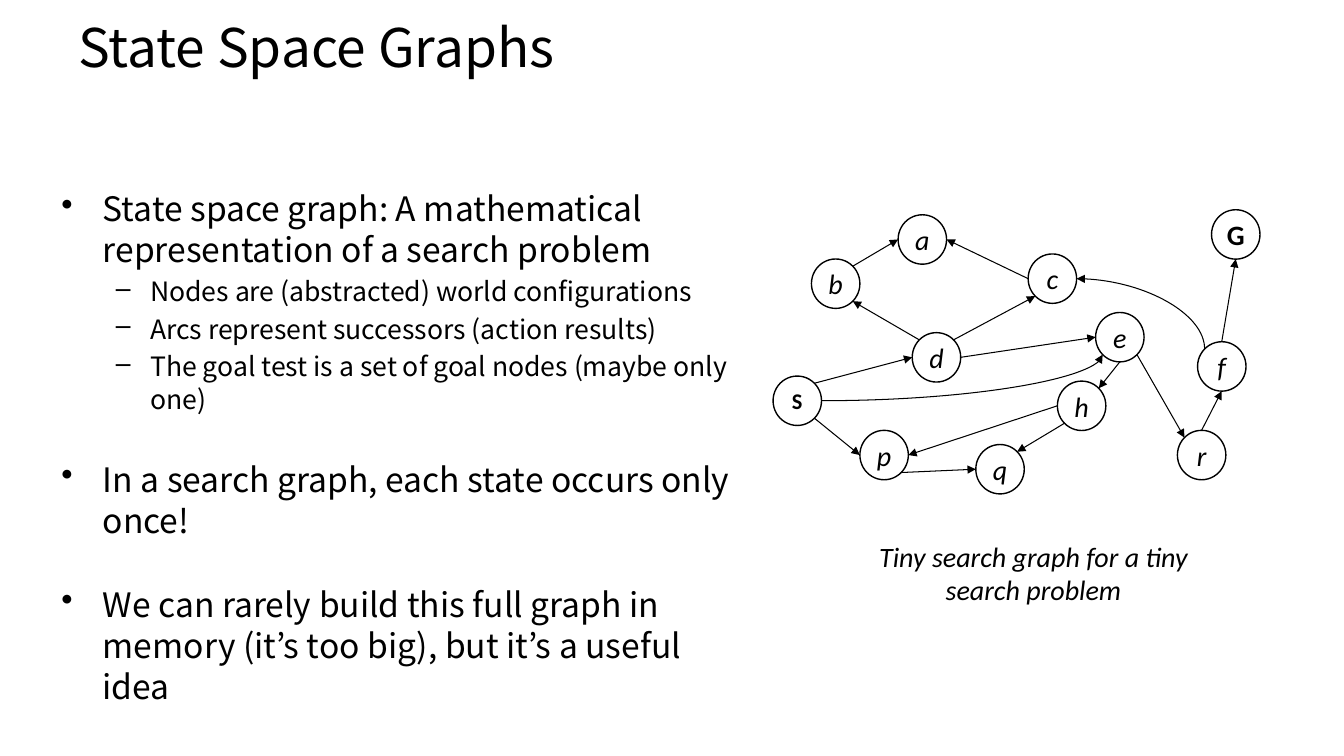
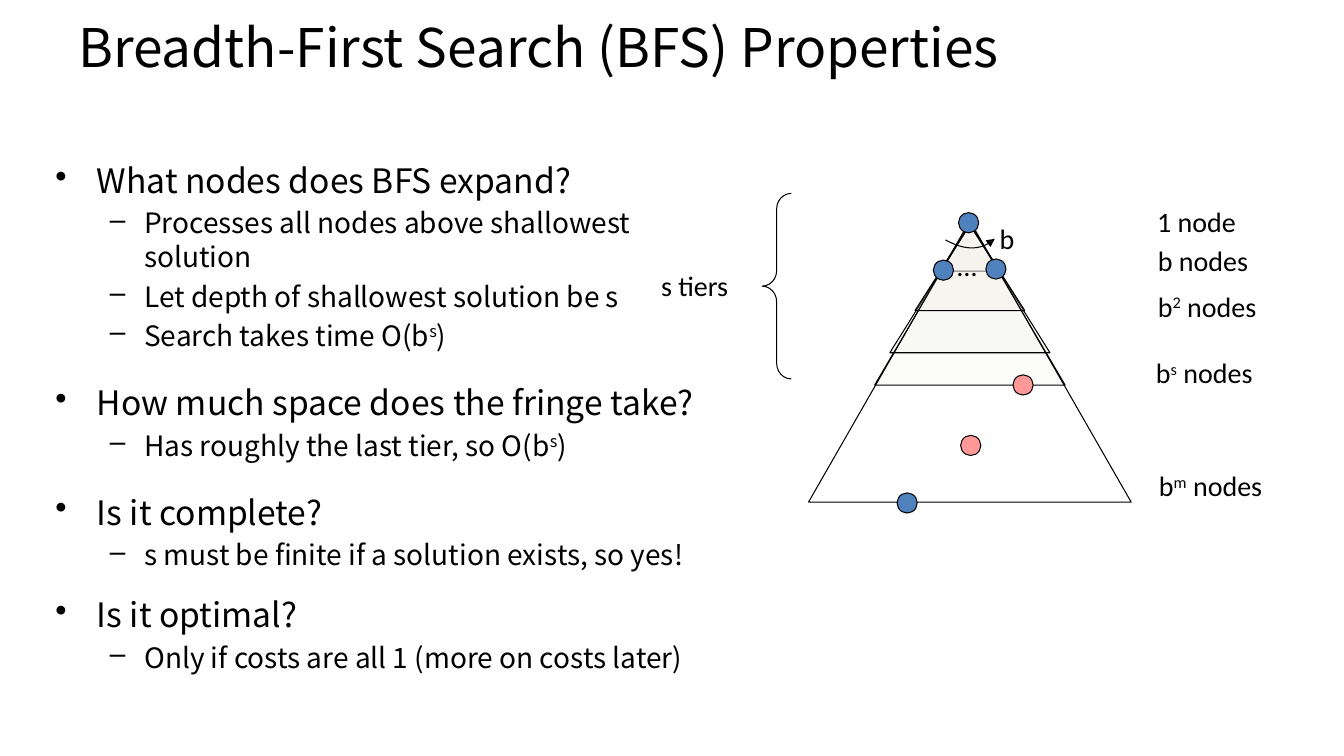
import math

import lxml.etree
import pptx
import pptx.dml.color
import pptx.enum.shapes
import pptx.enum.text
import pptx.oxml.ns
import pptx.util

Pt = pptx.util.Pt
RGBColor = pptx.dml.color.RGBColor
MSO_SHAPE = pptx.enum.shapes.MSO_SHAPE
MSO_CONNECTOR = pptx.enum.shapes.MSO_CONNECTOR
PP_ALIGN = pptx.enum.text.PP_ALIGN
MSO_ANCHOR = pptx.enum.text.MSO_ANCHOR
qn = pptx.oxml.ns.qn

BLACK = RGBColor(0x00, 0x00, 0x00)
BLUE = RGBColor(0x4F, 0x81, 0xBD)
PINK = RGBColor(0xFF, 0x99, 0x99)
CREAM = RGBColor(0xEE, 0xEC, 0xE1)

TEXT_FONT = "Noto Sans CJK KR"
LABEL_FONT = "Calibri"
LINE_RATIO = 1.22
BULLETS = (("•", 29.5, -29.5), ("–", 63.4, -24.5))
NODE_W, NODE_H = 34.6, 35.3
DOT = 14.4
COMPASS = ("E", "SE", "S", "SW", "W", "NW", "N", "NE")

NODES = {
    "S": (552.2, 268.6), "G": (865.4, 149.8), "d": (651.6, 237.6),
    "b": (579.6, 185), "p": (614.2, 307.4), "q": (697, 317.5),
    "c": (734.4, 181.4), "e": (782.6, 223.2), "h": (755.3, 272.2),
    "a": (641.5, 153.4), "f": (855.4, 244.1), "r": (841, 307.4),
}
EDGES = (
    "S SE p W", "p SE q W", "h SW q NE", "h W p E", "e S h NE",
    "e SE r NW", "r N f S", "f N G S", "S NE d W", "d NW b SE",
    "b NE a W", "c W a E", "d NE c SW", "d E e W",
)
GRAPH_POINTS = (
    (0, 24, 0, "State space graph: A mathematical representation of a search problem"),
    (1, 19, 3.6, "Nodes are (abstracted) world configurations"),
    (1, 19, 3.6, "Arcs represent successors (action results)"),
    (1, 19, 3.6, "The goal test is a set of goal nodes (maybe only one)"),
    (0, 24, 31, "In a search graph, each state occurs only once!"),
    (0, 24, 31, "We can rarely build this full graph in memory "
                "(it’s too big), but it’s a useful idea"),
)
BFS_POINTS = (
    (0, 24, 0, "What nodes does BFS expand?"),
    (1, 20, 3.6, "Processes all nodes above shallowest solution"),
    (1, 20, 3.6, "Let depth of shallowest solution be s"),
    (1, 20, 3.6, "Search takes time O(b^s^)"),
    (0, 24, 21, "How much space does the fringe take?"),
    (1, 20, 3.6, "Has roughly the last tier, so O(b^s^)"),
    (0, 24, 21, "Is it complete?"),
    (1, 20, 3.6, "s must be finite if a solution exists, so yes!"),
    (0, 24, 16, "Is it optimal?"),
    (1, 20, 3.6, "Only if costs are all 1 (more on costs later)"),
)
APEX_X = 692.8
TIERS = ((160.6, 21.6, 193.7), (159.1, 68, 275), (160.6, 57.2, 252), (160.6, 39.2, 221.8))
DOTS = (
    (684.7, 151.9, BLUE), (666.7, 185.8, BLUE), (704.2, 185, BLUE),
    (640.8, 352.1, BLUE), (723.6, 267.8, PINK), (686.2, 311, PINK),
)
LABELS = (
    (676.8, 174.2, 21.6, "…"), (707, 154.8, 23.8, "b"),
    (819.4, 142.6, 87.8, "1 node"), (820, 170.6, 87.8, "b nodes"),
    (820, 203, 87.8, "b^2^ nodes"), (820.8, 331.2, 115.2, "b^m^ nodes"),
    (818.6, 250.6, 115.2, "b^s^ nodes"), (465.1, 188.6, 99.4, "s tiers"),
)


def site(name, direction):
    """Return the point on a node's rim in a compass direction."""
    left, top = NODES[name]
    angle = COMPASS.index(direction) * math.pi / 4
    return (left + NODE_W / 2 * (1 + math.cos(angle)),
            top + NODE_H / 2 * (1 + math.sin(angle)))


class Deck:
    """Hold the shared style and the slide being drawn."""

    def __init__(self):
        """Start an empty widescreen deck."""
        self.prs = pptx.Presentation()
        self.prs.slide_width, self.prs.slide_height = Pt(960), Pt(540)
        self.s = None

    def slide(self, title):
        """Add a slide with its title."""
        self.s = self.prs.slides.add_slide(self.prs.slide_layouts[6])
        tf = self.box(48, 1.4, 864, 62.6, 7.9)
        tf.vertical_anchor = MSO_ANCHOR.MIDDLE
        self.add_runs(tf.paragraphs[0], title, 38, TEXT_FONT)

    def box(self, x, y, w, h, inset=7.2):
        """Add a wrapping text box and return its text frame."""
        tf = self.s.shapes.add_textbox(Pt(x), Pt(y), Pt(w), Pt(h)).text_frame
        tf.word_wrap = True
        tf.margin_left = tf.margin_right = Pt(inset)
        return tf

    def add_runs(self, p, text, size, font=LABEL_FONT, bold=False, italic=False):
        """Add runs to a paragraph, raising the parts between carets."""
        for i, part in enumerate(text.split("^")):
            r = p.add_run()
            r.text = part
            r.font.size, r.font.name = Pt(size), font
            r.font.bold, r.font.italic = bold, italic
            r.font.color.rgb = BLACK
            if i % 2:
                r._r.get_or_add_rPr().set("baseline", "30000")

    def bullets(self, x, y, w, h, points):
        """Add a two-level bullet list."""
        tf = self.box(x, y, w, h, 7.9)
        for i, (level, size, before, text) in enumerate(points):
            p = tf.add_paragraph() if i else tf.paragraphs[0]
            char, margin, indent = BULLETS[level]
            p.level = level
            pPr = p._p.get_or_add_pPr()
            pPr.set("marL", str(Pt(margin)))
            pPr.set("indent", str(Pt(indent)))
            lxml.etree.SubElement(pPr, qn("a:buChar")).set("char", char)
            p.line_spacing = Pt(size * LINE_RATIO)
            p.space_before = Pt(before)
            self.add_runs(p, text, size, TEXT_FONT)

    def label(self, x, y, w, text, h=31.7, align=PP_ALIGN.LEFT, italic=False):
        """Add a diagram label."""
        p = self.box(x, y, w, h).paragraphs[0]
        p.alignment = align
        self.add_runs(p, text, 20, italic=italic)

    def finish(self, sp, fill=None, width=0.75, opacity=None):
        """Give a shape its fill and black outline."""
        sp.shadow.inherit = False
        sp.line.color.rgb, sp.line.width = BLACK, Pt(width)
        if fill is None:
            sp.fill.background()
            return
        sp.fill.solid()
        sp.fill.fore_color.rgb = fill
        if opacity:
            color = sp._element.spPr.find(qn("a:solidFill"))[0]
            lxml.etree.SubElement(color, qn("a:alpha")).set("val", str(opacity * 1000))

    def shape(self, kind, x, y, w, h, fill=None, width=0.75):
        """Add an outlined preset shape."""
        sp = self.s.shapes.add_shape(kind, Pt(x), Pt(y), Pt(w), Pt(h))
        self.finish(sp, fill, width)
        return sp

    def node(self, name):
        """Add a named graph node."""
        sp = self.shape(MSO_SHAPE.FLOWCHART_CONNECTOR, *NODES[name], NODE_W, NODE_H, width=1)
        tf = sp.text_frame
        tf.word_wrap = False
        tf.vertical_anchor = MSO_ANCHOR.MIDDLE
        p = tf.paragraphs[0]
        p.alignment = PP_ALIGN.CENTER
        state = name.isupper()
        self.add_runs(p, name, 16 if name == "S" else 20, bold=state, italic=not state)

    def arrowhead(self, sp):
        """Put a triangle at the end of a line."""
        ln = sp.line._get_or_add_ln()
        lxml.etree.SubElement(ln, qn("a:tailEnd")).set("type", "triangle")

    def arrow(self, start, end, kind=MSO_CONNECTOR.STRAIGHT):
        """Add an arrow between two points."""
        sp = self.s.shapes.add_connector(kind, *(Pt(v) for v in (*start, *end)))
        sp.line.color.rgb, sp.line.width = BLACK, Pt(0.75)
        self.arrowhead(sp)
        lxml.etree.SubElement(sp._element.spPr, qn("a:effectLst"))
        return sp

    def curve(self, start, end, upward=False):
        """Add a curved arrow that leaves sideways or, turned, upward."""
        if upward:
            cx, cy = (start[0] + end[0]) / 2, (start[1] + end[1]) / 2
            dx, dy = (start[0] - end[0]) / 2, (start[1] - end[1]) / 2
            start, end = (cx + dy, cy - dx), (cx - dy, cy + dx)
        sp = self.arrow(start, end, MSO_CONNECTOR.CURVE)
        spPr = sp._element.spPr
        spPr.find(qn("a:prstGeom")).set("prst", "curvedConnector2")
        if upward:
            spPr.find(qn("a:xfrm")).set("rot", "5400000")

    def outline(self, points, close=True, fill=None, opacity=None):
        """Add a freeform through the points."""
        first, *rest = [(Pt(x), Pt(y)) for x, y in points]
        builder = self.s.shapes.build_freeform(*first)
        builder.add_line_segments(rest, close=close)
        sp = builder.convert_to_shape()
        self.finish(sp, fill, opacity=opacity)
        return sp

    def triangle(self, top, half, bottom, fill=None, opacity=None):
        """Add a triangle centred under the tree's root."""
        corners = ((APEX_X, top), (APEX_X - half, bottom), (APEX_X + half, bottom))
        self.outline(corners, fill=fill, opacity=opacity)

    def arc(self, start, control, end, steps=16):
        """Add a bent arrow pulled toward a control point."""
        points = []
        for i in range(steps + 1):
            t = i / steps
            points.append([(1 - t) ** 2 * a + 2 * t * (1 - t) * b + t ** 2 * c
                           for a, b, c in zip(start, control, end)])
        self.arrowhead(self.outline(points, close=False))


def graph_slide(deck):
    """Draw the state space graph slide."""
    deck.slide("State Space Graphs")
    deck.bullets(36, 130.3, 498.2, 356.4, GRAPH_POINTS)
    for name in NODES:
        deck.node(name)
    for edge in EDGES:
        tail, leave, head, enter = edge.split()
        deck.arrow(site(tail, leave), site(head, enter))
    deck.curve(site("f", "NW"), site("c", "E"), upward=True)
    deck.curve(site("S", "E"), site("e", "SW"))
    deck.label(606.2, 381.6, 264.2, "Tiny search graph for a tiny search problem",
               h=55.4, align=PP_ALIGN.CENTER, italic=True)


def bfs_slide(deck):
    """Draw the breadth-first search slide."""
    deck.slide("Breadth-First Search (BFS) Properties")
    deck.bullets(31.7, 110.2, 507.6, 372.2, BFS_POINTS)
    for tier in TIERS:
        deck.triangle(*tier, fill=CREAM, opacity=20)
    deck.triangle(157.7, 115.2, 358.6)
    for x, y, color in DOTS:
        deck.shape(MSO_SHAPE.OVAL, x, y, DOT, DOT, color)
    deck.arc((675.4, 171.4), (696.6, 183.2), (710.6, 170.6))
    brace = deck.shape(MSO_SHAPE.LEFT_BRACE, 544.3, 138.2, 20.9, 132.5)
    brace.adjustments[0] = 0.53
    for label in LABELS:
        deck.label(*label)


def main():
    """Build and save the deck."""
    deck = Deck()
    graph_slide(deck)
    bfs_slide(deck)
    deck.prs.save("out.pptx")


if __name__ == "__main__":
    main()
